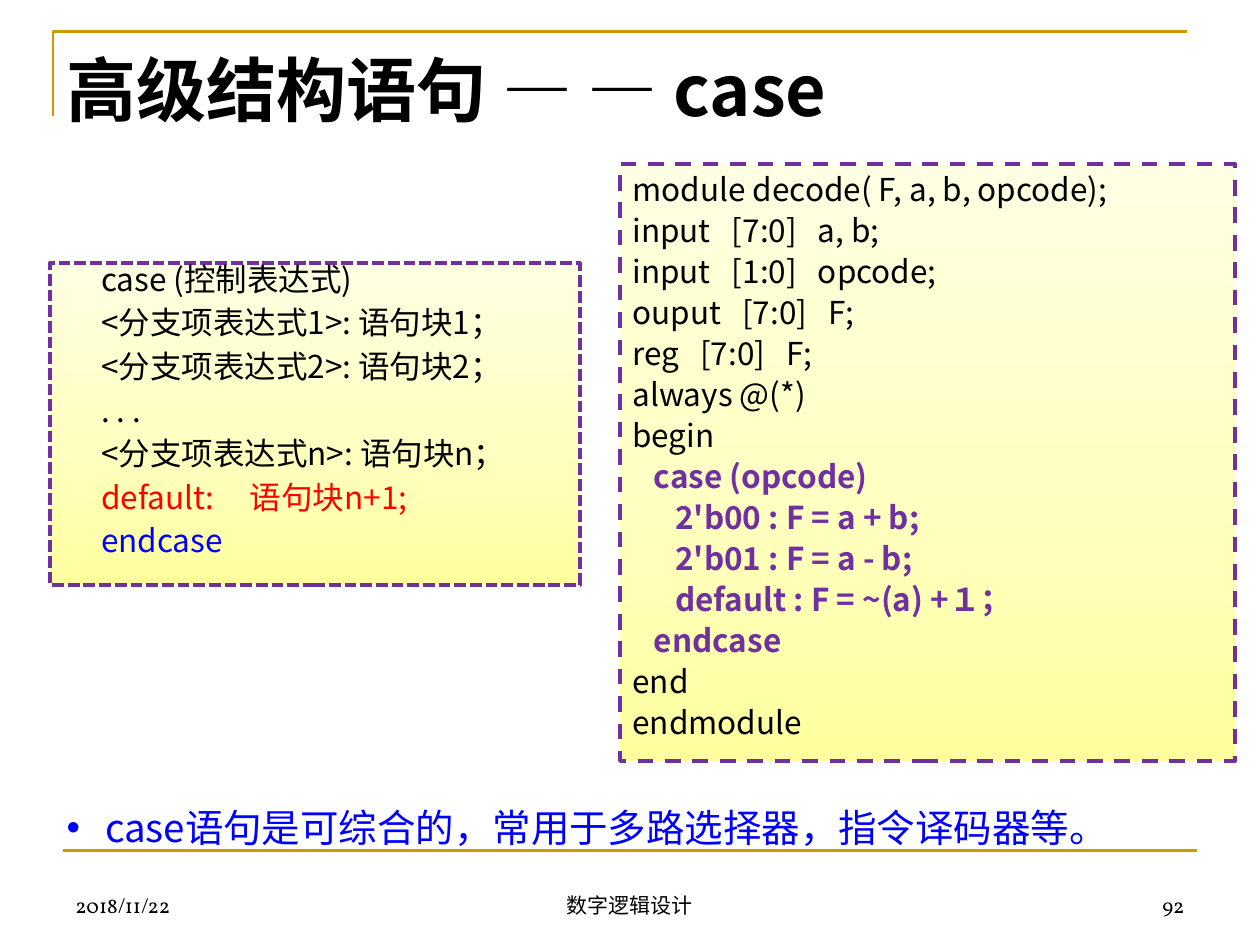
import lxml.etree
import pptx
import pptx.dml.color
import pptx.enum.dml
import pptx.enum.shapes
import pptx.enum.text
import pptx.oxml
import pptx.oxml.ns
import pptx.util

Cm = pptx.util.Cm
Pt = pptx.util.Pt
ALIGN = pptx.enum.text.PP_ALIGN
ANCHOR = pptx.enum.text.MSO_ANCHOR
DASH = pptx.enum.dml.MSO_LINE

COLORS = {"black": "000000", "red": "FF0000", "blue": "0000FF",
          "purple": "7030A0", "gold": "CC9900"}
PANEL_STOPS = ((0, "FFFFA0"), (50, "FFFFC5"), (100, "FFFFE3"))
SANS = "Noto Sans CJK SC"
SERIF = "Vollkorn"

SYNTAX_LINES = [
    ("case (控制表达式)", "black"),
    ("<分支项表达式1>: 语句块1；", "black"),
    ("<分支项表达式2>: 语句块2；", "black"),
    (". . .", "black"),
    ("<分支项表达式n>: 语句块n；", "black"),
    ("default:     语句块n+1;", "red"),
    ("endcase", "blue"),
]
MODULE_LINES = [
    ("module decode( F, a, b, opcode);", "black"),
    ("input   [7:0]   a, b;", "black"),
    ("input   [1:0]   opcode;", "black"),
    ("ouput   [7:0]   F;", "black"),
    ("reg   [7:0]   F;", "black"),
    ("always @(*)", "black"),
    ("begin", "black"),
    ("   case (opcode)", "purple"),
    ("      2'b00 : F = a + b; ", "purple"),
    ("      2'b01 : F = a - b;", "purple"),
    ("      default : F = ~(a) +１；", "purple"),
    ("   endcase", "purple"),
    ("end", "black"),
    ("endmodule", "black"),
]


def rgb(name):
    """Return the palette colour with this name."""
    return pptx.dml.color.RGBColor.from_string(COLORS[name])


def place(shape, box):
    """Move a shape to a box of left, top, width and height in centimetres."""
    shape.left, shape.top, shape.width, shape.height = map(Cm, box)


def format_paragraph(paragraph, size, color="black", bold=False, font=SANS,
                     align=ALIGN.LEFT, line=None, before=0):
    """Set the font, alignment and spacing of a paragraph."""
    paragraph.alignment = align
    paragraph.space_before = Pt(before)
    if line:
        paragraph.line_spacing = Pt(line)
    paragraph.font.size = Pt(size)
    paragraph.font.bold = bold
    paragraph.font.color.rgb = rgb(color)
    paragraph.font.name = font
    properties = paragraph._p.get_or_add_pPr().find(pptx.oxml.ns.qn("a:defRPr"))
    east_asian = lxml.etree.SubElement(properties, pptx.oxml.ns.qn("a:ea"))
    east_asian.set("typeface", SANS)


def set_frame(shape, anchor=ANCHOR.TOP):
    """Make the text of a shape wrap at a fixed size, and return its frame."""
    frame = shape.text_frame
    frame.word_wrap = True
    frame.auto_size = pptx.enum.text.MSO_AUTO_SIZE.NONE
    frame.vertical_anchor = anchor
    return frame


def add_rules(slide, box):
    """Draw the gold corner above the title and the rule above the footer."""
    left, top, width, corner_height = box
    builder = slide.shapes.build_freeform(Cm(left), Cm(top + corner_height))
    builder.add_line_segments([(Cm(left), Cm(top)), (Cm(left + width), Cm(top))],
                              close=False)
    corner = builder.convert_to_shape()
    corner.shadow.inherit = False
    corner.fill.background()
    rule_left, rule_top = left + 0.2, top + 16.51
    rule = slide.shapes.add_connector(
        pptx.enum.shapes.MSO_CONNECTOR.STRAIGHT,
        Cm(rule_left), Cm(rule_top), Cm(rule_left + width), Cm(rule_top))
    lxml.etree.SubElement(rule._element.spPr, pptx.oxml.ns.qn("a:effectLst"))
    for shape in (corner, rule):
        shape.line.color.rgb = rgb("gold")
        shape.line.width = Pt(1.5)


def add_title(slide, box):
    """Fill the title placeholder."""
    title = slide.shapes.title
    place(title, box)
    frame = set_frame(title)
    frame.text = "高级结构语句 — — case"
    format_paragraph(frame.paragraphs[0], 40, bold=True, line=51)


def add_remark(slide, box):
    """Fill the body placeholder with the bulleted remark."""
    body = slide.placeholders[1]
    place(body, box)
    frame = set_frame(body)
    frame.text = " case语句是可综合的，常用于多路选择器，指令译码器等。"
    paragraph = frame.paragraphs[0]
    format_paragraph(paragraph, 22, "blue", line=38)
    properties = paragraph._p.get_or_add_pPr()
    properties.set("marL", str(Cm(0.6)))
    properties.set("indent", str(-Cm(0.6)))


def add_code_panel(slide, box, lines, dash, line, before, align=ALIGN.LEFT,
                   indent=0, margin_top=0.13):
    """Draw a dashed panel with a yellow gradient, holding lines of code."""
    panel = slide.shapes.add_shape(pptx.enum.shapes.MSO_SHAPE.RECTANGLE,
                                   *map(Cm, box))
    panel.shadow.inherit = False
    panel.fill.gradient()
    panel.fill.gradient_angle = 90
    stops = panel._element.spPr.find(".//" + pptx.oxml.ns.qn("a:gsLst"))
    for stop in list(stops):
        stops.remove(stop)
    for position, color in PANEL_STOPS:
        stops.append(pptx.oxml.parse_xml(
            f'<a:gs {pptx.oxml.ns.nsdecls("a")} pos="{position * 1000}">'
            f'<a:srgbClr val="{color}"/></a:gs>'))
    panel.line.color.rgb = rgb("purple")
    panel.line.width = Pt(2.25)
    panel.line.dash_style = dash
    frame = set_frame(panel)
    frame.margin_top = Cm(margin_top)
    frame.text = "\n".join(text for text, color in lines)
    for paragraph, (text, color) in zip(frame.paragraphs, lines):
        format_paragraph(paragraph, 18, color, bold=color == "purple",
                         align=align, line=line, before=before)
        paragraph._p.get_or_add_pPr().set("indent", str(Cm(indent)))


def add_footer(slide, box):
    """Write the date, course name and page number along the foot."""
    left, top, width, height = box
    side, middle = 5.92, 8.05
    parts = (("2018/11/22", left, side, ALIGN.LEFT),
             ("数字逻辑设计", left + (width - middle) / 2, middle, ALIGN.CENTER),
             ("92", left + width - side, side, ALIGN.RIGHT))
    for text, part_left, part_width, align in parts:
        text_box = slide.shapes.add_textbox(
            Cm(part_left), Cm(top), Cm(part_width), Cm(height))
        frame = set_frame(text_box, ANCHOR.BOTTOM)
        frame.text = text
        format_paragraph(frame.paragraphs[0], 12, font=SERIF, align=align)


def build_slide(presentation):
    """Lay out the slide on the case statement."""
    slide = presentation.slides.add_slide(presentation.slide_layouts[1])
    add_rules(slide, (1.07, 0.64, 22.86, 1.7))
    add_footer(slide, (1.27, 17.35, 22.86, 1.27))
    add_title(slide, (1.09, 0.71, 21.79, 1.96))
    add_code_panel(slide, (1, 5.31, 10.69, 6.48), SYNTAX_LINES, DASH.SQUARE_DOT,
                   line=19.5, before=5.4, align=ALIGN.JUSTIFY, indent=0.79,
                   margin_top=0)
    add_remark(slide, (1.09, 15.67, 23.19, 1.45))
    add_code_panel(slide, (12.5, 3.3, 12.4, 12.04), MODULE_LINES, DASH.DASH,
                   line=21.6, before=1.8)


presentation = pptx.Presentation()
presentation.slide_width = Cm(25.4)
presentation.slide_height = Cm(19.05)
build_slide(presentation)
presentation.save("out.pptx")
